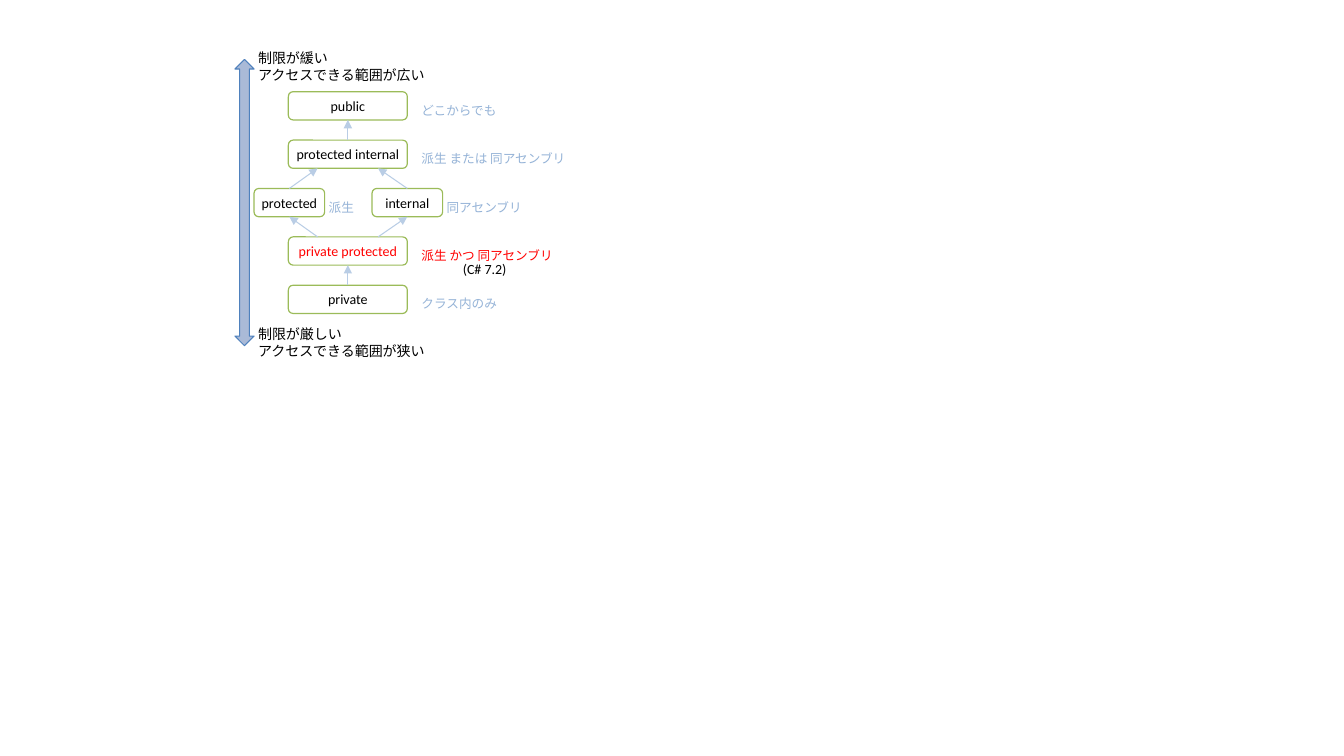
"""Build a slide that orders the C# access levels from widest to narrowest."""
import dataclasses
import typing

import lxml.etree
import pptx
import pptx.dml.color
import pptx.enum.shapes
import pptx.enum.text
import pptx.oxml.ns
import pptx.slide
import pptx.text.text
import pptx.util

Inches = pptx.util.Inches
Pt = pptx.util.Pt

COLORS = {
    "text": "000000",
    "highlight": "FF0000",
    "note": "95B3D7",
    "box": "FFFFFF",
    "box_line": "9BBB59",
    "scale": "AABAD7",
    "scale_line": "4F81BD",
    "arrow": "B9CDE5",
}
FONT = "Calibri"
FIRST_ROW_TOP = 0.91
ROW_PITCH = 0.48
BOX_HEIGHT = 0.28
WIDE = 1.18
NARROW = 0.7
CENTER = 3.45
LEFT_CENTER = 2.87
RIGHT_CENTER = 4.04
NOTE_OFFSET = 0.07
NOTE_HEIGHT = 0.23


@dataclasses.dataclass(frozen=True)
class AccessLevel:
    name: str
    row: int
    center: float
    width: float
    note: str
    note_left: float
    note_width: float
    color: str = "text"
    note_color: str = "note"


@dataclasses.dataclass(frozen=True)
class WideningArrow:
    from_row: int
    start_x: float
    end_x: float


@dataclasses.dataclass(frozen=True)
class Caption:
    lines: tuple[str, ...]
    left: float
    top: float
    width: float
    height: float


LEVELS = (
    AccessLevel("public", 0, CENTER, WIDE, "どこからでも", 4.14, 0.84),
    AccessLevel("protected internal", 1, CENTER, WIDE, "派生 または 同アセンブリ", 4.14, 1.52),
    AccessLevel("protected", 2, LEFT_CENTER, NARROW, "派生", 3.22, 0.36),
    AccessLevel("internal", 2, RIGHT_CENTER, NARROW, "同アセンブリ", 4.39, 0.84),
    AccessLevel("private protected", 3, CENTER, WIDE, "派生 かつ 同アセンブリ", 4.14, 1.4,
                "highlight", "highlight"),
    AccessLevel("private", 4, CENTER, WIDE, "クラス内のみ", 4.14, 0.84),
)
ARROWS = (
    WideningArrow(1, CENTER, CENTER),
    WideningArrow(2, LEFT_CENTER, 3.15),
    WideningArrow(2, RIGHT_CENTER, 3.75),
    WideningArrow(3, 3.15, LEFT_CENTER),
    WideningArrow(3, 3.75, RIGHT_CENTER),
    WideningArrow(4, CENTER, CENTER),
)
CAPTIONS = (
    Caption(("制限が緩い", "アクセスできる範囲が広い"), 2.52, 0.45, 1.76, 0.42),
    Caption(("制限が厳しい", "アクセスできる範囲が狭い"), 2.52, 3.19, 1.76, 0.42),
    Caption(("(C# 7.2)",), 4.55, 2.54, 0.52, 0.25),
)


def rgb(name: str) -> pptx.dml.color.RGBColor:
    return pptx.dml.color.RGBColor.from_string(COLORS[name])


def row_top(row: int) -> float:
    return FIRST_ROW_TOP + row * ROW_PITCH


def write_text(frame: pptx.text.text.TextFrame, *lines: str, size: float = 10, color: str = "text",
               align: typing.Optional[pptx.enum.text.PP_ALIGN] = None,
               anchor: pptx.enum.text.MSO_ANCHOR = pptx.enum.text.MSO_ANCHOR.TOP,
               wrap: bool = False) -> None:
    frame.margin_left = frame.margin_right = Inches(0.04)
    frame.margin_top = frame.margin_bottom = Inches(0.04)
    frame.vertical_anchor = anchor
    frame.word_wrap = wrap
    if not wrap:
        frame.auto_size = pptx.enum.text.MSO_AUTO_SIZE.SHAPE_TO_FIT_TEXT
    for index, line in enumerate(lines):
        paragraph = frame.add_paragraph() if index else frame.paragraphs[0]
        paragraph.alignment = align
        run = paragraph.add_run()
        run.text = line
        run.font.name = FONT
        run.font.size = Pt(size)
        run.font.color.rgb = rgb(color)


def add_label(slide: pptx.slide.Slide, caption: Caption, **text_format: typing.Any) -> None:
    label = slide.shapes.add_textbox(Inches(caption.left), Inches(caption.top),
                                     Inches(caption.width), Inches(caption.height))
    write_text(label.text_frame, *caption.lines, **text_format)


def add_filled_shape(slide: pptx.slide.Slide, kind: pptx.enum.shapes.MSO_SHAPE,
                     left: float, top: float, width: float, height: float,
                     fill: str, line: str, line_width: float) -> typing.Any:
    shape = slide.shapes.add_shape(kind, Inches(left), Inches(top), Inches(width), Inches(height))
    shape.shadow.inherit = False
    shape.fill.solid()
    shape.fill.fore_color.rgb = rgb(fill)
    shape.line.color.rgb = rgb(line)
    shape.line.width = Pt(line_width)
    return shape


def add_level(slide: pptx.slide.Slide, level: AccessLevel) -> None:
    top = row_top(level.row)
    box = add_filled_shape(slide, pptx.enum.shapes.MSO_SHAPE.ROUNDED_RECTANGLE,
                           level.center - level.width / 2, top, level.width, BOX_HEIGHT,
                           "box", "box_line", 0.85)
    write_text(box.text_frame, level.name, color=level.color, wrap=True,
               align=pptx.enum.text.PP_ALIGN.CENTER, anchor=pptx.enum.text.MSO_ANCHOR.MIDDLE)
    note = Caption((level.note,), level.note_left, top + NOTE_OFFSET, level.note_width, NOTE_HEIGHT)
    add_label(slide, note, size=9, color=level.note_color)


def add_arrow(slide: pptx.slide.Slide, arrow: WideningArrow) -> None:
    connector = slide.shapes.add_connector(
        pptx.enum.shapes.MSO_CONNECTOR.STRAIGHT,
        Inches(arrow.start_x), Inches(row_top(arrow.from_row)),
        Inches(arrow.end_x), Inches(row_top(arrow.from_row - 1) + BOX_HEIGHT))
    connector.line.color.rgb = rgb("arrow")
    connector.line.width = Pt(0.75)
    properties = connector.element.spPr
    qualified = pptx.oxml.ns.qn
    lxml.etree.SubElement(properties.find(qualified("a:ln")), qualified("a:tailEnd"), type="triangle")
    lxml.etree.SubElement(properties, qualified("a:effectLst"))


def main() -> None:
    presentation = pptx.Presentation()
    presentation.slide_width = Inches(13.33)
    presentation.slide_height = Inches(7.5)
    slide = presentation.slides.add_slide(presentation.slide_layouts[6])
    add_filled_shape(slide, pptx.enum.shapes.MSO_SHAPE.UP_DOWN_ARROW,
                     2.33, 0.59, 0.19, 2.84, "scale", "scale_line", 0.75)
    for level in LEVELS:
        add_level(slide, level)
    for arrow in ARROWS:
        add_arrow(slide, arrow)
    for caption in CAPTIONS:
        add_label(slide, caption)
    presentation.save("out.pptx")


main()
